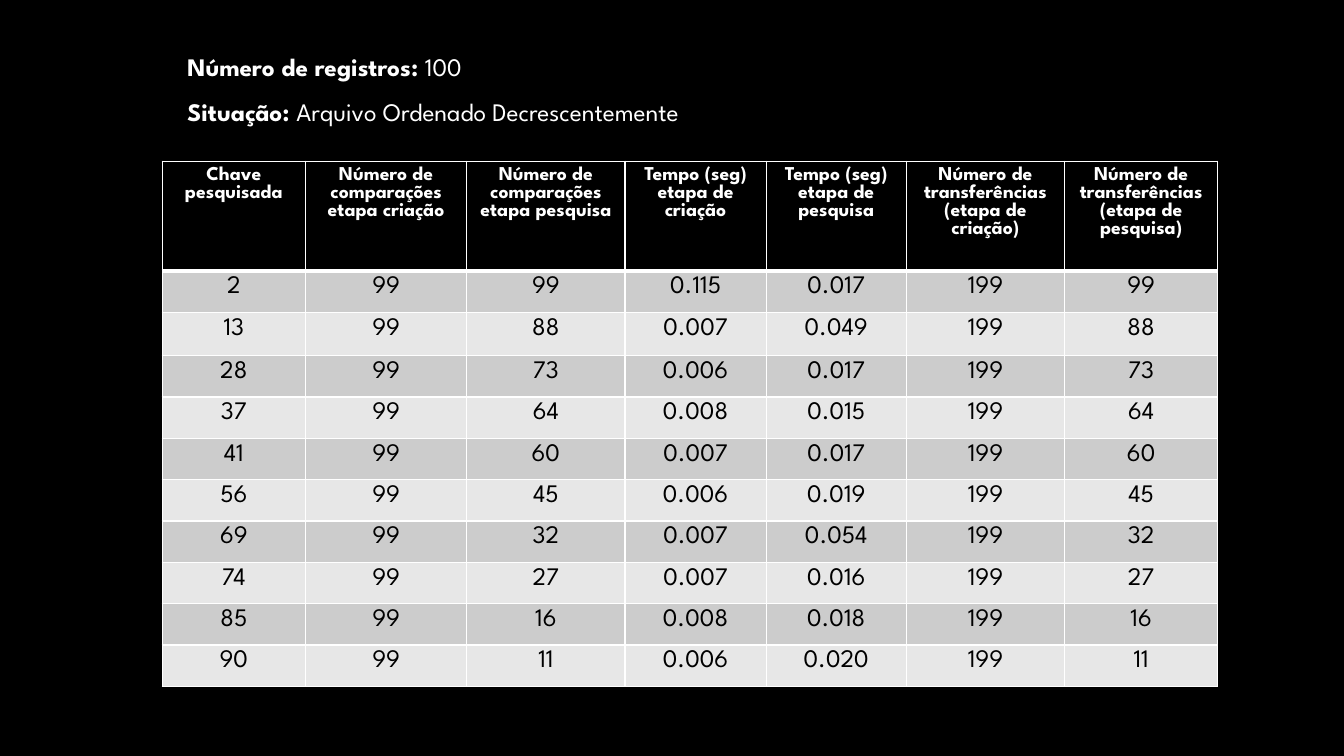
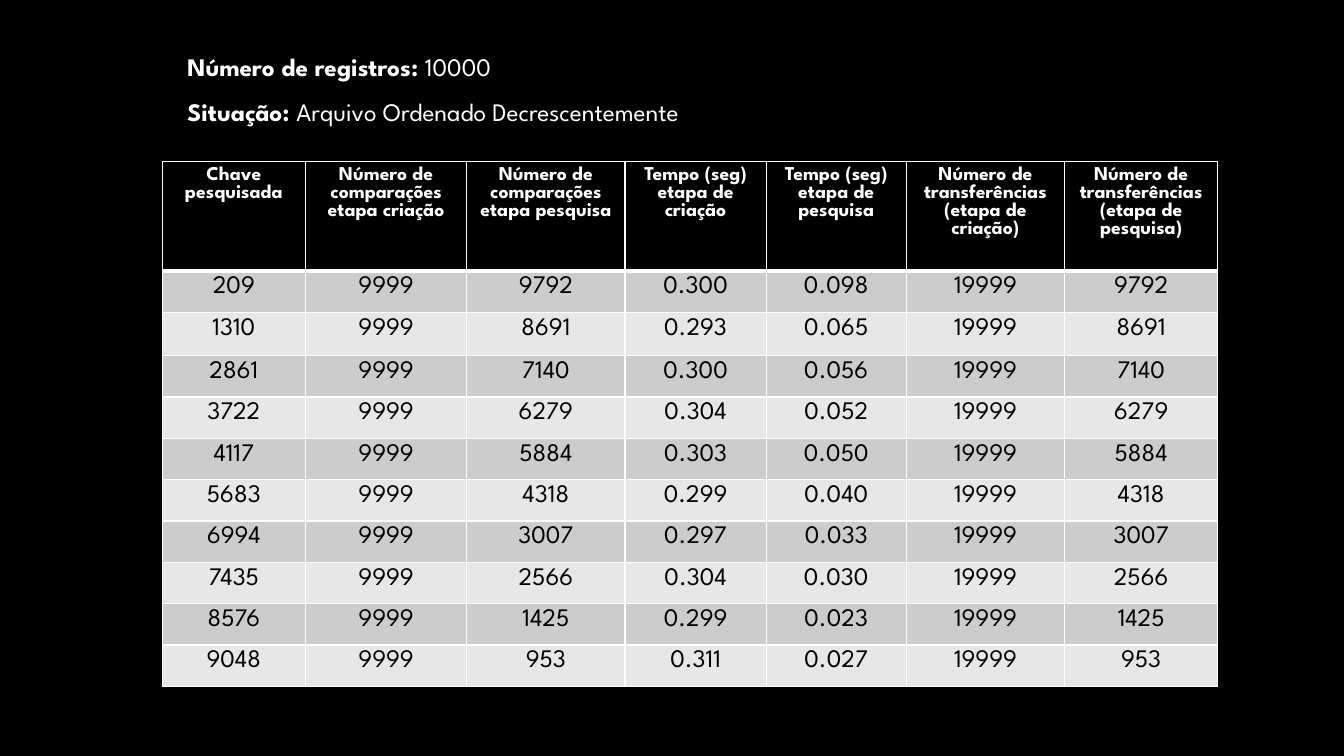
from dataclasses import dataclass

from lxml.etree import SubElement
from pptx import Presentation
from pptx.dml.color import RGBColor
from pptx.enum.text import PP_ALIGN
from pptx.oxml.ns import qn
from pptx.util import Pt

HEADINGS = [
    "Chave pesquisada",
    "Número de comparações etapa criação",
    "Número de comparações etapa pesquisa",
    "Tempo (seg) etapa de criação",
    "Tempo (seg) etapa de pesquisa",
    "Número de transferências (etapa de criação)",
    "Número de transferências (etapa de pesquisa)",
]
SITUATION = "Arquivo Ordenado Decrescentemente"

# Each search: key, comparisons (equal to transfers), creation time, search time
EXPERIMENTS = [
    {
        "records": "100", "creation_comparisons": "99", "creation_transfers": "199",
        "searches": [
            ("2", "99", "0.115", "0.017"),
            ("13", "88", "0.007", "0.049"),
            ("28", "73", "0.006", "0.017"),
            ("37", "64", "0.008", "0.015"),
            ("41", "60", "0.007", "0.017"),
            ("56", "45", "0.006", "0.019"),
            ("69", "32", "0.007", "0.054"),
            ("74", "27", "0.007", "0.016"),
            ("85", "16", "0.008", "0.018"),
            ("90", "11", "0.006", "0.020"),
        ],
    },
    {
        "records": "10000", "creation_comparisons": "9999", "creation_transfers": "19999",
        "searches": [
            ("209", "9792", "0.300", "0.098"),
            ("1310", "8691", "0.293", "0.065"),
            ("2861", "7140", "0.300", "0.056"),
            ("3722", "6279", "0.304", "0.052"),
            ("4117", "5884", "0.303", "0.050"),
            ("5683", "4318", "0.299", "0.040"),
            ("6994", "3007", "0.297", "0.033"),
            ("7435", "2566", "0.304", "0.030"),
            ("8576", "1425", "0.299", "0.023"),
            ("9048", "953", "0.311", "0.027"),
        ],
    },
]

PX = 9144  # EMU per px, 100 px to the inch
SLIDE_SIZE = (1333, 750)
SUMMARY_BOX = (176, 31, 619, 101)
TABLE_ORIGIN = (161, 160)
COLUMN_WIDTHS = [142, 160, 157, 140, 139, 157, 152]
ROW_HEIGHTS = [109, 41, 43] + [41] * 8


@dataclass(frozen=True)
class Theme:
    font: str = "League Spartan"
    black: RGBColor = RGBColor(0x00, 0x00, 0x00)
    white: RGBColor = RGBColor(0xFF, 0xFF, 0xFF)
    bands: tuple = (RGBColor(0xCC, 0xCC, 0xCC), RGBColor(0xE7, 0xE7, 0xE7))
    heading_size: int = 14
    text_size: int = 18
    line_spacing: float = 1.5
    thin_border: int = 1
    heading_border: int = 3


THEME = Theme()


def px(*lengths):
    return [length * PX for length in lengths]


def style_font(font, size, color, bold):
    font.name = THEME.font
    font.size = Pt(size)
    font.color.rgb = color
    font.bold = bold


def set_borders(cell, top, bottom):
    """Draw the four cell edges; they must precede the fill in the XML."""
    properties = cell._tc.get_or_add_tcPr()
    thin = THEME.thin_border
    for edge, width in (("L", thin), ("R", thin), ("T", top), ("B", bottom)):
        line = SubElement(properties, qn(f"a:ln{edge}"), w=str(Pt(width)))
        fill = SubElement(line, qn("a:solidFill"))
        SubElement(fill, qn("a:srgbClr"), val=str(THEME.white))


def add_summary(slide, records):
    frame = slide.shapes.add_textbox(*px(*SUMMARY_BOX)).text_frame
    frame.word_wrap = True
    facts = [("Número de registros: ", records), ("Situação: ", SITUATION)]
    for index, fact in enumerate(facts):
        paragraph = frame.add_paragraph() if index else frame.paragraphs[0]
        paragraph.line_spacing = THEME.line_spacing
        for part, bold in zip(fact, (True, False)):
            run = paragraph.add_run()
            run.text = part
            style_font(run.font, THEME.text_size, THEME.white, bold)


def result_rows(experiment):
    return [
        (key, experiment["creation_comparisons"], comparisons, creation_time,
         search_time, experiment["creation_transfers"], comparisons)
        for key, comparisons, creation_time, search_time in experiment["searches"]
    ]


def add_results(slide, rows):
    size = (sum(COLUMN_WIDTHS), sum(ROW_HEIGHTS))
    table = slide.shapes.add_table(
        len(ROW_HEIGHTS), len(COLUMN_WIDTHS), *px(*TABLE_ORIGIN, *size)).table
    for column, width in zip(table.columns, px(*COLUMN_WIDTHS)):
        column.width = width
    for row, height in zip(table.rows, px(*ROW_HEIGHTS)):
        row.height = height

    for row_index, values in enumerate([HEADINGS, *rows]):
        is_heading = row_index == 0
        top = THEME.heading_border if row_index == 1 else THEME.thin_border
        bottom = THEME.heading_border if is_heading else THEME.thin_border
        background = THEME.black if is_heading else THEME.bands[(row_index - 1) % 2]
        color = THEME.white if is_heading else THEME.black
        text_size = THEME.heading_size if is_heading else THEME.text_size
        for column_index, value in enumerate(values):
            cell = table.cell(row_index, column_index)
            set_borders(cell, top, bottom)
            cell.fill.solid()
            cell.fill.fore_color.rgb = background
            cell.text_frame.text = value
            paragraph = cell.text_frame.paragraphs[0]
            paragraph.alignment = PP_ALIGN.CENTER
            style_font(paragraph.runs[0].font, text_size, color, is_heading)


def main():
    deck = Presentation()
    deck.slide_width, deck.slide_height = px(*SLIDE_SIZE)
    blank_layout = deck.slide_layouts[6]
    background = deck.slide_master.background.fill
    background.solid()
    background.fore_color.rgb = THEME.black
    for experiment in EXPERIMENTS:
        slide = deck.slides.add_slide(blank_layout)
        add_results(slide, result_rows(experiment))
        add_summary(slide, experiment["records"])
    deck.save("out.pptx")


if __name__ == "__main__":
    main()
